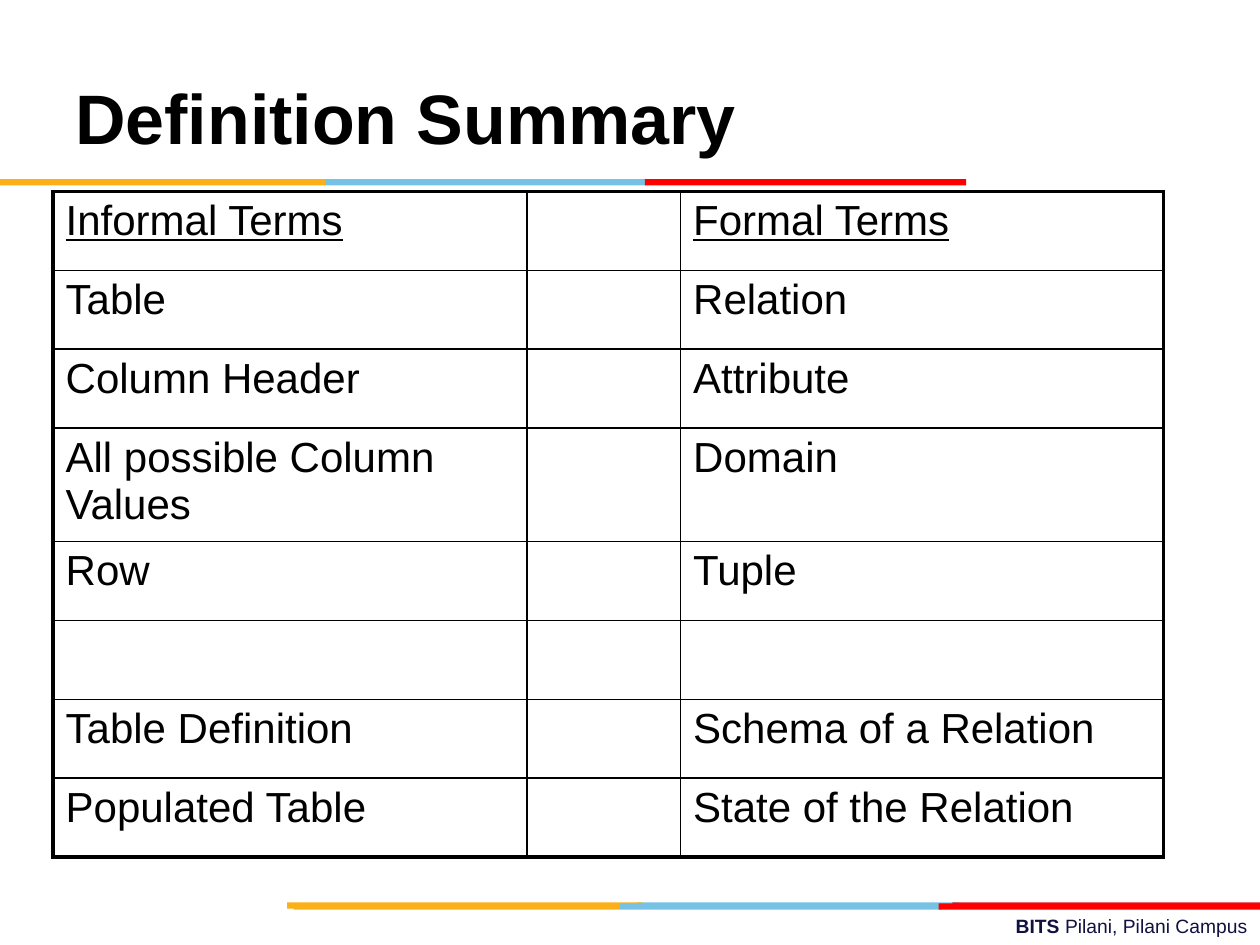
from dataclasses import dataclass

import pptx
import pptx.dml.color
import pptx.enum.shapes
import pptx.enum.text
import pptx.oxml
import pptx.oxml.ns
import pptx.util
from pptx.util import Cm

RGBColor = pptx.dml.color.RGBColor
Align = pptx.enum.text.PP_ALIGN
Anchor = pptx.enum.text.MSO_ANCHOR

BLACK = RGBColor(0x00, 0x00, 0x00)
NAVY = RGBColor(0x10, 0x11, 0x41)
YELLOW = RGBColor(0xFC, 0xB0, 0x17)
BLUE = RGBColor(0x76, 0xC2, 0xE5)
CRIMSON = RGBColor(0xE3, 0x1C, 0x24)
RED = RGBColor(0xFF, 0x00, 0x00)

FONT = "Arial"
THICK, THIN = 2.25, 1
STRIPE_HEIGHT = Cm(0.13)


@dataclass
class Stripe:
    left: float
    top: float
    width: float
    color: RGBColor


# Brand stripes, from back to front: two layers at the foot, one under the title
STRIPES = [
    Stripe(12.85, 18.19, 6.48, BLUE),
    Stripe(19.2, 18.19, 6.2, CRIMSON),
    Stripe(5.79, 18.19, 7.16, YELLOW),
    Stripe(12.5, 18.21, 6.48, BLUE),
    Stripe(5.92, 18.21, 6.58, YELLOW),
    Stripe(18.92, 18.21, 6.48, RED),
    Stripe(6.55, 3.61, 6.48, BLUE),
    Stripe(0, 3.61, 6.55, YELLOW),
    Stripe(13, 3.61, 6.48, RED),
]

TERMS = [
    ("Informal Terms", "Formal Terms"),
    ("Table", "Relation"),
    ("Column Header", "Attribute"),
    ("All possible Column Values", "Domain"),
    ("Row", "Tuple"),
    ("", ""),
    ("Table Definition", "Schema of a Relation"),
    ("Populated Table", "State of the Relation"),
]
COLUMN_WIDTHS = [9.55, 3.1, 9.73]
ROW_HEIGHT, TALL_ROW_HEIGHT, TALL_ROW = 1.59, 2.27, 3


def add_span(para, text: str, *, size: float, color: RGBColor = BLACK,
             bold: bool = False, underline: bool = False) -> None:
    span = para.add_run()
    span.text = text
    span.font.name = FONT
    span.font.size = pptx.util.Pt(size)
    span.font.bold = bold
    span.font.underline = underline
    span.font.color.rgb = color


def add_box(page, left: float, top: float, width: float, height: float,
            align: Align, anchor: Anchor):
    """Add a wrapping text box and return its first paragraph."""
    box = page.shapes.add_textbox(Cm(left), Cm(top), Cm(width), Cm(height))
    box.text_frame.word_wrap = True
    box.text_frame.vertical_anchor = anchor
    para = box.text_frame.paragraphs[0]
    para.alignment = align
    return para


def draw_stripe(page, stripe: Stripe) -> None:
    shape = page.shapes.add_shape(
        pptx.enum.shapes.MSO_SHAPE.RECTANGLE,
        Cm(stripe.left), Cm(stripe.top), Cm(stripe.width), STRIPE_HEIGHT)
    shape.shadow.inherit = False
    shape.fill.solid()
    shape.fill.fore_color.rgb = stripe.color
    shape.line.fill.background()


def set_borders(cell, **widths: float) -> None:
    """Draw black borders; the keywords L, R, T and B give widths in points."""
    properties = cell._tc.get_or_add_tcPr()
    for side, width in widths.items():
        properties.append(pptx.oxml.parse_xml(
            f'<a:ln{side} {pptx.oxml.ns.nsdecls("a")} w="{pptx.util.Pt(width)}">'
            f'<a:solidFill><a:srgbClr val="{BLACK}"/></a:solidFill></a:ln{side}>'))


def draw_terms(page) -> None:
    rows, columns = len(TERMS), len(COLUMN_WIDTHS)
    heights = [TALL_ROW_HEIGHT if row == TALL_ROW else ROW_HEIGHT
               for row in range(rows)]
    frame = page.shapes.add_table(rows, columns, Cm(1.07), Cm(3.86),
                                  Cm(sum(COLUMN_WIDTHS)), Cm(sum(heights)))
    table = frame.table
    table.first_row = table.horz_banding = False
    for column, width in zip(table.columns, COLUMN_WIDTHS):
        column.width = Cm(width)

    for row, (informal, formal) in enumerate(TERMS):
        table.rows[row].height = Cm(heights[row])
        for column, text in enumerate((informal, "", formal)):
            cell = table.cell(row, column)
            set_borders(cell,
                        L=THICK if column == 0 else THIN,
                        R=THICK if column == columns - 1 else THIN,
                        T=THICK if row == 0 else THIN,
                        B=THICK if row == rows - 1 else THIN)
            cell.fill.background()
            if text:
                add_span(cell.text_frame.paragraphs[0], text,
                         size=24, underline=row == 0)


def main() -> None:
    deck = pptx.Presentation()
    deck.slide_width, deck.slide_height = Cm(25.4), Cm(19.05)
    page = deck.slides.add_slide(deck.slide_layouts[6])

    # Footer
    footer = add_box(page, 9.09, 18.31, 16.31, 0.74, Align.RIGHT, Anchor.TOP)
    add_span(footer, "BITS ", size=11, color=NAVY, bold=True)
    add_span(footer, "Pilani, Pilani Campus", size=11, color=NAVY)

    for stripe in STRIPES:
        draw_stripe(page, stripe)

    # Title and table
    title = add_box(page, 1.27, 0.76, 22.86, 3.18, Align.LEFT, Anchor.MIDDLE)
    add_span(title, "Definition Summary", size=40, bold=True)
    draw_terms(page)

    deck.save("out.pptx")


if __name__ == "__main__":
    main()
